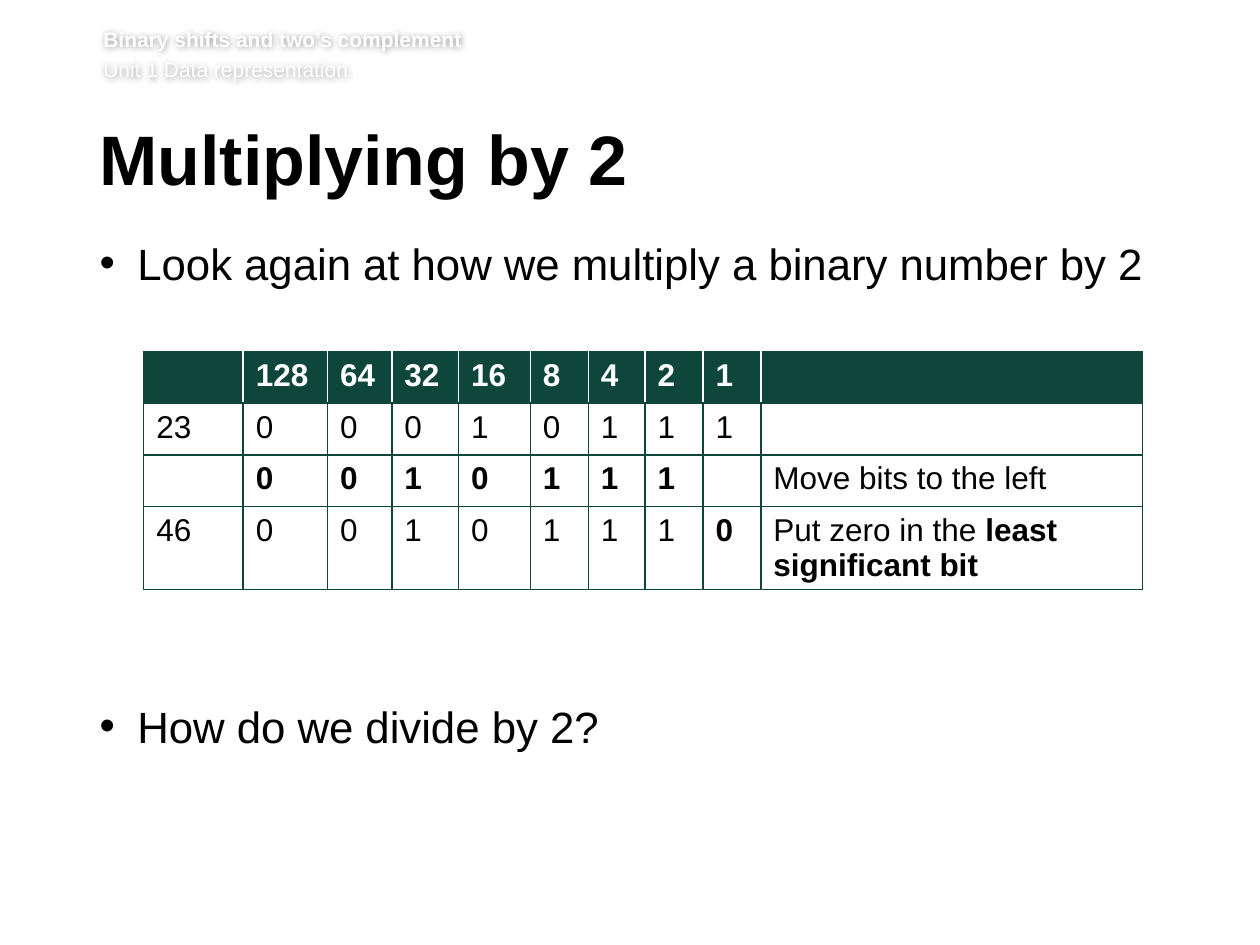
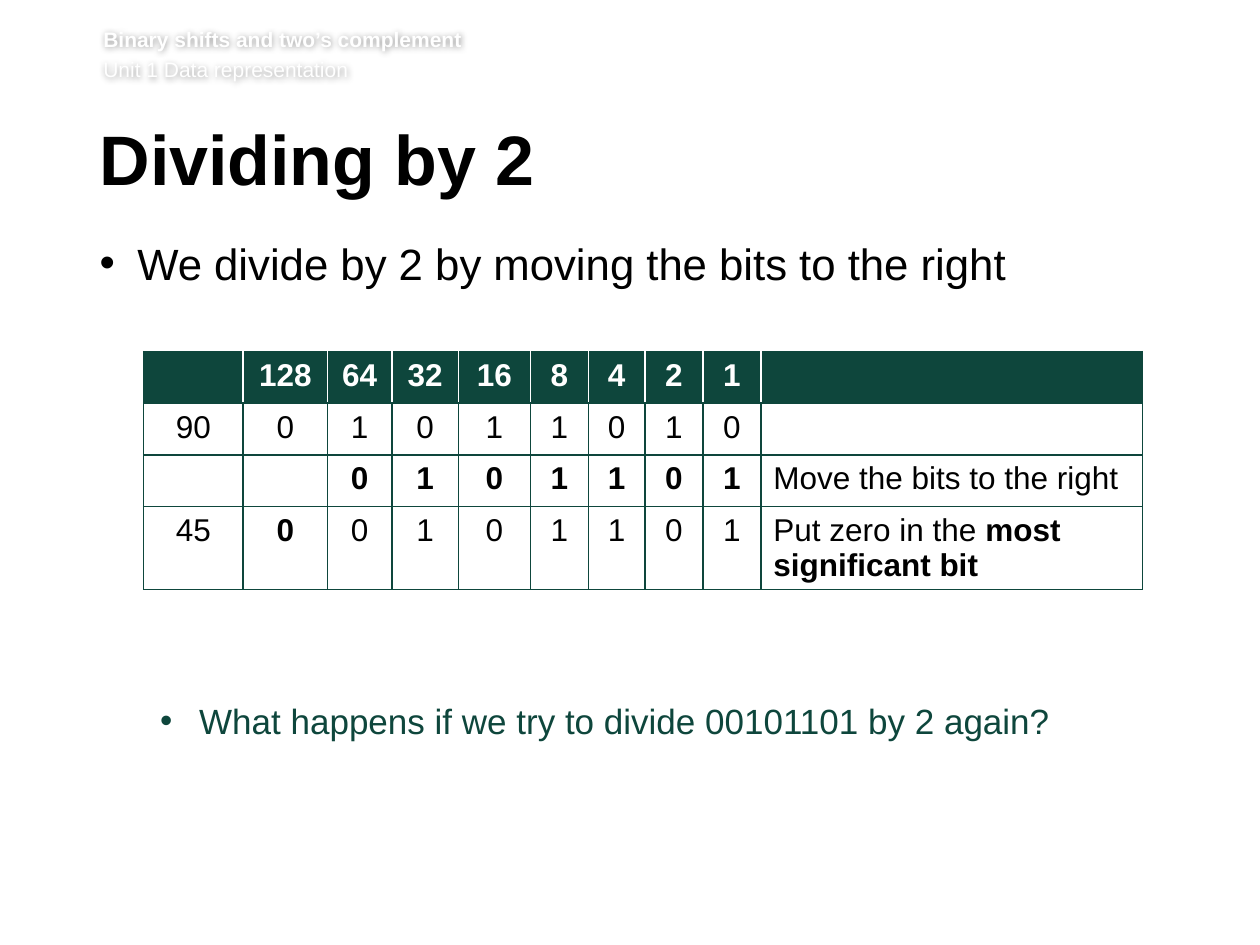
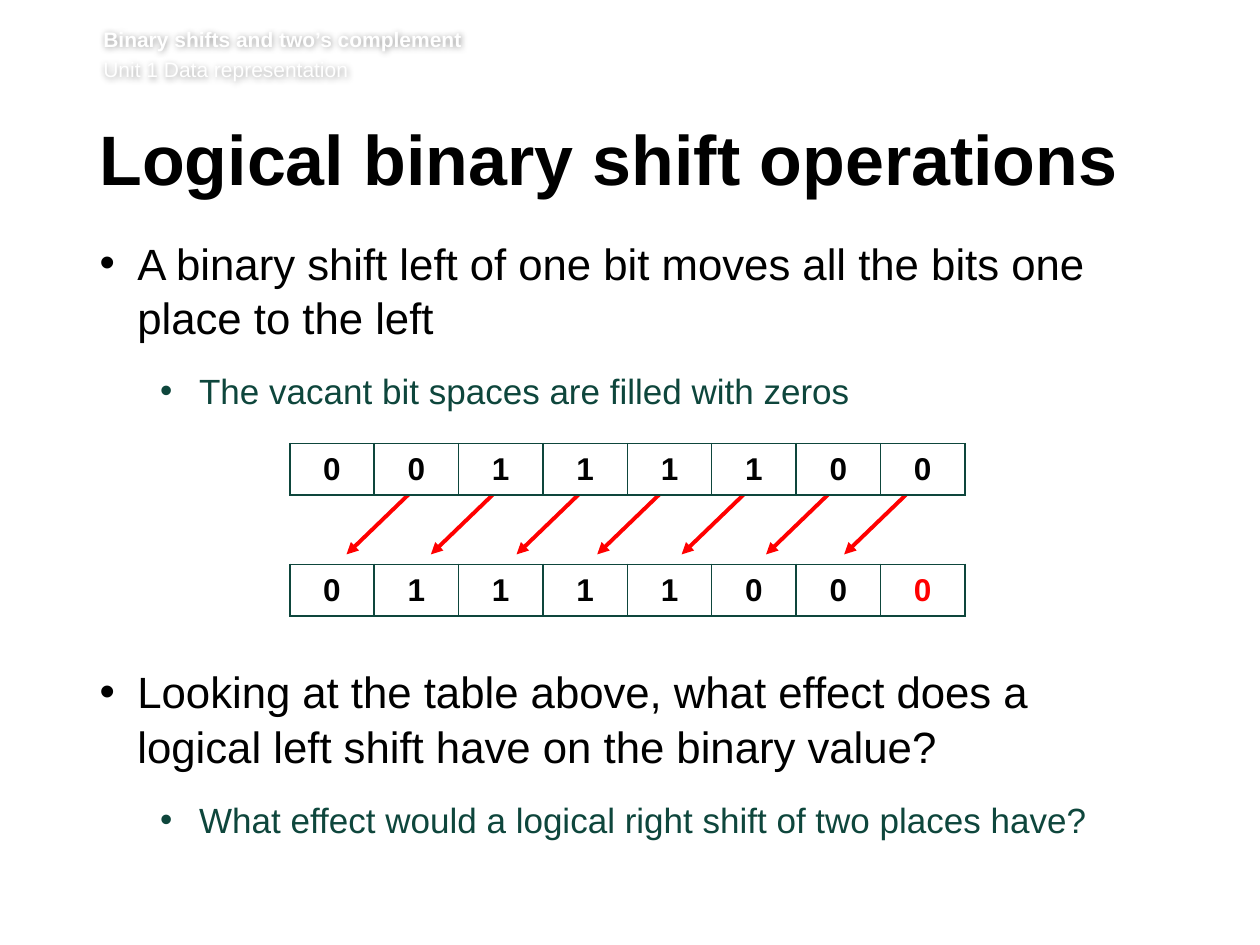
from lxml import etree
from pptx import Presentation
from pptx import util as u
from pptx.dml.color import RGBColor
from pptx.enum import shapes, text
from pptx.oxml import ns

# Shared look
FONT = "Arial"
GREEN, BLACK, WHITE, RED = "0E463C", "000000", "FFFFFF", "FF0000"
HEADER = ["*Binary shifts and two’s complement*", "Unit 1 Data representation"]
HEADER_AT = (0.82, 0.17, 8.82, 0.49)
TITLE_AT = (0.79, 0.99, 8.55, 0.73)
BODY_AT = (0.79, 1.86, 8.53, 3.78)
# Per list level: size, colour, left margin, hanging indent, space after
LEVELS = [(25, BLACK, 0.3, -0.3, 14), (20, GREEN, 0.79, -0.31, 12)]
LINE_SPACING = 1.04

# Content: list items are (level, space before in points, text); *bold* in cells
PLACES = ["", "128", "64", "32", "16", "8", "4", "2", "1", ""]
SHIFT_TABLES = [
    {
        "title": "Multiplying by 2",
        "items": [(0, 0, "Look again at how we multiply a binary number by 2"),
                  (0, 219.5, "How do we divide by 2?")],
        "rows": [
            ["23", "0", "0", "0", "1", "0", "1", "1", "1", ""],
            ["", "*0*", "*0*", "*1*", "*0*", "*1*", "*1*", "*1*", "", "Move bits to the left"],
            ["46", "0", "0", "1", "0", "1", "1", "1", "*0*",
             "Put zero in the *least significant bit*"],
        ],
        "align": text.PP_ALIGN.LEFT,
    },
    {
        "title": "Dividing by 2",
        "items": [(0, 0, "We divide by 2 by moving the bits to the right"),
                  (1, 219.5, "What happens if we try to divide 00101101 by 2 again?")],
        "rows": [
            ["90", "0", "1", "0", "1", "1", "0", "1", "0", ""],
            ["", "", "*0*", "*1*", "*0*", "*1*", "*1*", "*0*", "*1*",
             "Move the bits to the right"],
            ["45", "*0*", "0", "1", "0", "1", "1", "0", "1",
             "Put zero in the *most significant bit*"],
        ],
        "align": text.PP_ALIGN.CENTER,
    },
]
SHIFT_COLUMNS = [0.79, 0.67, 0.51, 0.53, 0.57, 0.46, 0.45, 0.46, 0.46, 3.03]

LOGICAL_TITLE = "Logical binary shift operations"
LOGICAL_ITEMS = [
    (0, 0, "A binary shift left of one bit moves all the bits one place to the left"),
    (1, 0, "The vacant bit spaces are filled with zeros"),
    (0, 131.7, "Looking at the table above, what effect does a logical left shift "
               "have on the binary value?"),
    (1, 0, "What effect would a logical right shift of two places have?"),
]
REGISTERS = [(3.52, "00111100"), (4.48, "01111000")]
ARROW_STARTS = [3.32, 3.99, 4.67, 5.31, 5.98, 6.65, 7.27]
ARROW_RUN, ARROW_TOP, ARROW_BOTTOM = 0.57, 3.85, 4.4
ROW_HEIGHT = 0.41


def colour(value):
    return RGBColor.from_string(value)


def add_xml(parent, tag, **attributes):
    return etree.SubElement(parent, ns.qn(tag), attributes)


def add_runs(para, content, size, hue):
    for index, part in enumerate(content.split("*")):
        if part:
            span = para.add_run()
            span.text = part
            span.font.name, span.font.size = FONT, u.Pt(size)
            span.font.bold = index % 2 == 1
            span.font.color.rgb = colour(hue)


def set_up_frame(shape, at, insets):
    shape.left, shape.top, shape.width, shape.height = map(u.Inches, at)
    frame = shape.text_frame
    frame.word_wrap = True
    frame.auto_size = text.MSO_AUTO_SIZE.NONE
    frame.vertical_anchor = text.MSO_ANCHOR.TOP
    (frame.margin_left, frame.margin_top,
     frame.margin_right, frame.margin_bottom) = map(u.Inches, insets)
    return frame


def next_para(frame, index):
    return frame.add_paragraph() if index else frame.paragraphs[0]


def add_header(page, layout):
    """Put the white header with its soft shadow on the shared layout."""
    box = page.shapes.add_textbox(0, 0, 0, 0)
    frame = set_up_frame(box, HEADER_AT, (0, 0, 0, 0.05))
    for index, line in enumerate(HEADER):
        para = next_para(frame, index)
        para.space_before = u.Pt(2.9 if index else 0)
        add_runs(para, line, 12, WHITE)
    frame.margin_top = u.Pt(2.9)
    effects = add_xml(box.element.spPr, "a:effectLst")
    shadow = add_xml(effects, "a:outerShdw", blurRad="50800", dist="0", dir="0",
                     algn="ctr", rotWithShape="0")
    add_xml(add_xml(shadow, "a:srgbClr", val=BLACK), "a:alpha", val="40000")
    layout.shapes.element.append(box.element)


def add_page(deck, title, items):
    page = deck.slides.add_slide(deck.slide_layouts[1])
    frame = set_up_frame(page.shapes.title, TITLE_AT, (0, 0.05, 0.1, 0.05))
    para = frame.paragraphs[0]
    para.alignment = text.PP_ALIGN.LEFT
    para.line_spacing = u.Pt(39)
    add_runs(para, f"*{title}*", 40, BLACK)

    frame = set_up_frame(page.placeholders[1], BODY_AT, (0, 0, 0.1, 0.05))
    for index, (level, before, content) in enumerate(items):
        size, hue, margin, indent, after = LEVELS[level]
        para = next_para(frame, index)
        para.level = level
        para.line_spacing = LINE_SPACING
        para.space_before, para.space_after = u.Pt(before), u.Pt(after)
        properties = para._p.get_or_add_pPr()
        properties.set("marL", str(u.Inches(margin)))
        properties.set("indent", str(u.Inches(indent)))
        add_xml(properties, "a:buChar", char="•")
        add_runs(para, content, size, hue)
    return page


def style_cell(cell, fill, edges):
    """Draw left, right, top and bottom edges, then the fill."""
    properties = cell._tc.get_or_add_tcPr()
    for side, hue in zip("LRTB", edges):
        line = add_xml(properties, f"a:ln{side}", w=str(u.Pt(1)))
        add_xml(add_xml(line, "a:solidFill"), "a:srgbClr", val=hue)
    if fill:
        cell.fill.solid()
        cell.fill.fore_color.rgb = colour(fill)
    else:
        cell.fill.background()


def add_grid(page, left, top, widths, row_count):
    table = page.shapes.add_table(
        row_count, len(widths), u.Inches(left), u.Inches(top),
        u.Inches(sum(widths)), u.Inches(ROW_HEIGHT * row_count)).table
    table.first_row = table.horz_banding = False
    for column, width in zip(table.columns, widths):
        column.width = u.Inches(width)
    for row in table.rows:
        row.height = u.Inches(ROW_HEIGHT)
    return table


def add_shift_table(page, rows, align):
    header = [f"*{place}*" if place else "" for place in PLACES]
    table = add_grid(page, 1.14, 2.79, SHIFT_COLUMNS, len(rows) + 1)
    last = len(PLACES) - 1
    for r, row in enumerate([header] + rows):
        for c, content in enumerate(row):
            cell = table.cell(r, c)
            para = cell.text_frame.paragraphs[0]
            para.alignment = align if c < last else text.PP_ALIGN.LEFT
            add_runs(para, content, 18, BLACK if r else WHITE)
            if r:
                style_cell(cell, None, [GREEN] * 4)
            else:
                style_cell(cell, GREEN, [WHITE if c else GREEN,
                                         WHITE if c < last else GREEN, GREEN, GREEN])


def add_register(page, top, bits, filled_in):
    table = add_grid(page, 2.3, top, [0.67] * len(bits), 1)
    for c, bit in enumerate(bits):
        cell = table.cell(0, c)
        cell.vertical_anchor = text.MSO_ANCHOR.MIDDLE
        para = cell.text_frame.paragraphs[0]
        para.alignment = text.PP_ALIGN.CENTER
        add_runs(para, f"*{bit}*", 18, RED if c == filled_in else BLACK)
        style_cell(cell, WHITE, [GREEN] * 4)


def add_arrow(page, start):
    arrow = page.shapes.add_connector(
        shapes.MSO_CONNECTOR.STRAIGHT, u.Inches(start), u.Inches(ARROW_TOP),
        u.Inches(start - ARROW_RUN), u.Inches(ARROW_BOTTOM))
    arrow.line.color.rgb = colour(RED)
    arrow.line.width = u.Pt(2.25)
    add_xml(arrow.line._get_or_add_ln(), "a:tailEnd", type="triangle")
    add_xml(arrow._element.spPr, "a:effectLst")


def main():
    deck = Presentation()
    deck.slide_width, deck.slide_height = u.Inches(10), u.Inches(7.5)

    # Multiplying and dividing
    for part in SHIFT_TABLES:
        page = add_page(deck, part["title"], part["items"])
        add_shift_table(page, part["rows"], part["align"])

    # Logical shift: arrows lie behind the two registers
    page = add_page(deck, LOGICAL_TITLE, LOGICAL_ITEMS)
    for start in ARROW_STARTS:
        add_arrow(page, start)
    for index, (top, bits) in enumerate(REGISTERS):
        add_register(page, top, bits, len(bits) - 1 if index else None)

    add_header(page, deck.slide_layouts[1])
    deck.save("out.pptx")


if __name__ == "__main__":
    main()
